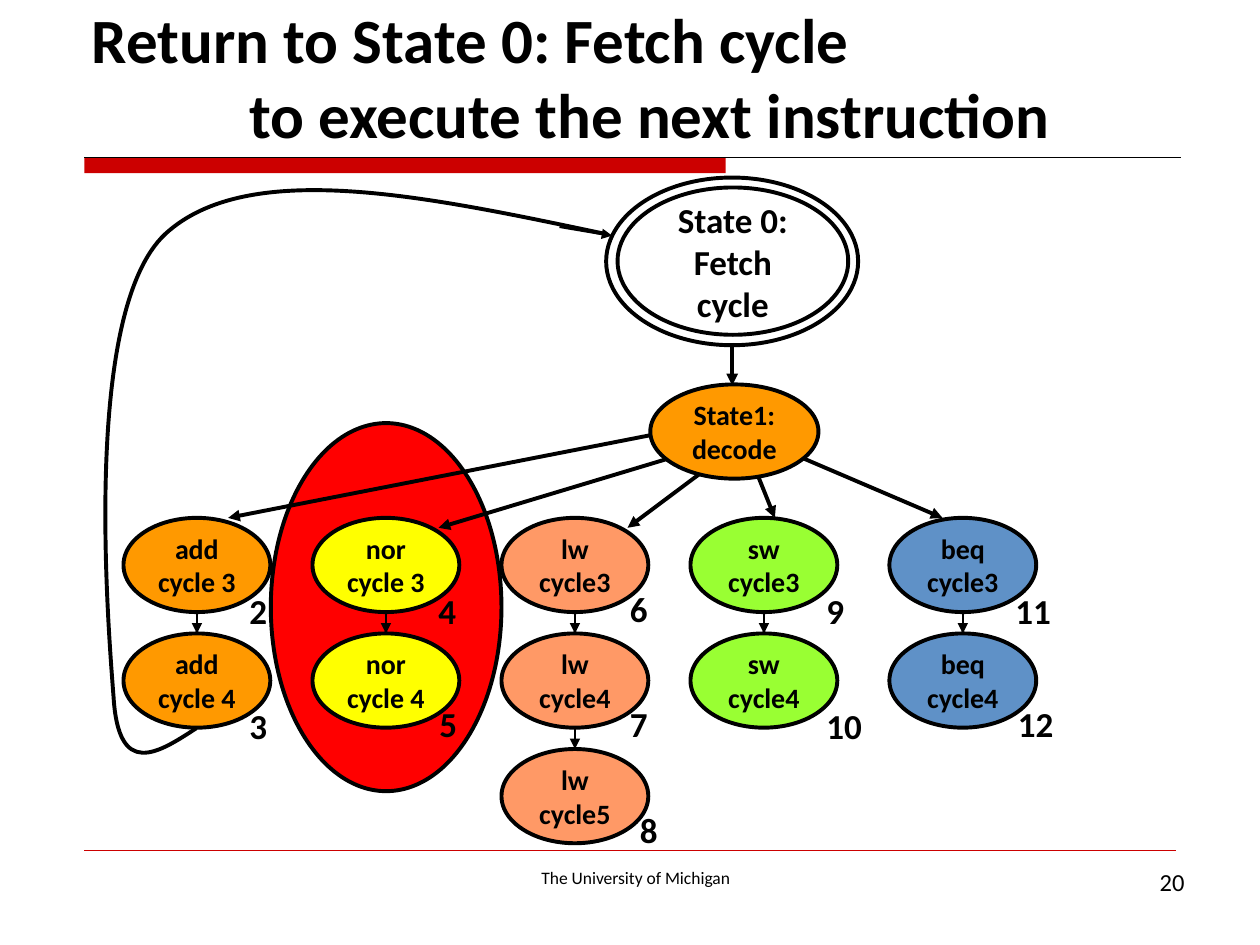
from lxml import etree
from pptx import Presentation
from pptx.dml.color import RGBColor
from pptx.enum.shapes import MSO_CONNECTOR as LINK, MSO_SHAPE as SHAPE
from pptx.enum.text import MSO_ANCHOR as ANCHOR, PP_ALIGN as ALIGN
from pptx.oxml.ns import qn
from pptx.util import Cm, Pt

BLACK, RED = "000000", "CC0000"
TITLE = ["Return to State 0: Fetch cycle", "to execute the next instruction"]
FOOTER, PAGE = "The University of Michigan", "20"

INSTRUCTIONS = [
    ("add", "FF9900", 2.49, [("cycle 3", "2", 2.29, 1.32), ("cycle 4", "3", 2.29, 1.3)]),
    ("nor", "FFFF00", 6.3, [("cycle 3", "4", 2.29, 1.32), ("cycle 4", "5", 2.31, 1.27)]),
    ("lw", "FF9966", 10.11, [("cycle3", "6", 2.34, 1.27), ("cycle4", "7", 2.34, 1.27),
                             ("cycle5", "8", 2.54, 1.07)]),
    ("sw", "99FF33", 13.92, [("cycle3", "9", 2.49, 1.32), ("cycle4", "10", 2.49, 1.3)]),
    ("beq", "5F91C7", 17.93, [("cycle3", "11", 2.29, 1.32), ("cycle4", "12", 2.34, 1.27)]),
]
DECODE_ARROWS = [
    (13.28, 8.74, 4.6, 10.44),
    (13.72, 9.17, 8.84, 10.64),
    (14.35, 9.37, 12.65, 10.64),
    (15.19, 9.37, 15.62, 10.44),
    (16.03, 9.17, 19, 10.44),
]
RETURN_PATH = [(3.96, 14.68), (3.18, 15.19), (2.39, 15.7), (2.29, 14.05), (2.16, 12.37),
               (1.68, 6.27), (3.33, 4.72), (5, 3.18), (8.61, 3.96), (12.22, 4.72)]
STATE_W, STATE_H, TOP, PITCH = 2.96, 1.9, 10.44, 2.33

deck = Presentation()
deck.slide_width, deck.slide_height = Cm(25.4), Cm(19.05)
slide = deck.slides.add_slide(deck.slide_layouts[6])
shapes = slide.shapes


def color(value):
    return RGBColor.from_string(value)


def write(frame, lines, size, bold=True, align=ALIGN.CENTER, anchor=ANCHOR.MIDDLE, wrap=True):
    frame.word_wrap = wrap
    frame.vertical_anchor = anchor
    for i, line in enumerate(lines):
        paragraph = frame.add_paragraph() if i else frame.paragraphs[0]
        paragraph.alignment = align
        run = paragraph.add_run()
        run.text = line
        run.font.name, run.font.size, run.font.bold = "Calibri", Pt(size), bold
        run.font.color.rgb = color(BLACK)


def label(left, top, width, height, lines, size, **style):
    frame = shapes.add_textbox(Cm(left), Cm(top), Cm(width), Cm(height)).text_frame
    write(frame, lines, size, **style)
    return frame


def finish(shape, fill=None, line=BLACK):
    shape.shadow.inherit = False
    if fill:
        shape.fill.solid()
        shape.fill.fore_color.rgb = color(fill)
    else:
        shape.fill.background()
    if line:
        shape.line.color.rgb = color(line)
        shape.line.width = Pt(2.25)
    else:
        shape.line.fill.background()


def state(left, top, width, height, fill=None, lines=(), size=16, wrap=False):
    oval = shapes.add_shape(SHAPE.OVAL, Cm(left), Cm(top), Cm(width), Cm(height))
    finish(oval, fill)
    if lines:
        write(oval.text_frame, lines, size, wrap=wrap)


def link(x1, y1, x2, y2, width=2.25, line=BLACK, arrow=True):
    connector = shapes.add_connector(LINK.STRAIGHT, Cm(x1), Cm(y1), Cm(x2), Cm(y2))
    connector.line.color.rgb = color(line)
    connector.line.width = Pt(width)
    if arrow:
        etree.SubElement(connector.line._get_or_add_ln(), qn("a:tailEnd"), type="triangle")
    etree.SubElement(connector._element.spPr, qn("a:effectLst"))


def curve(points):
    (x, y), *rest = points
    builder = shapes.build_freeform(Cm(x), Cm(y))
    builder.add_line_segments([(Cm(a), Cm(b)) for a, b in rest], close=False)
    outline = builder.convert_to_shape()
    finish(outline)
    segments = list(outline._element.iter(qn("a:lnTo")))
    for i in range(0, len(segments), 3):
        bend = etree.Element(qn("a:cubicBezTo"))
        segments[i].addprevious(bend)
        for segment in segments[i:i + 3]:
            bend.append(segment[0])
            segment.getparent().remove(segment)


header_bar = shapes.add_shape(SHAPE.RECTANGLE, Cm(1.7), Cm(3.18), Cm(12.93), Cm(0.31))
finish(header_bar, RED, None)
link(1.7, 3.18, 23.8, 3.18, 0.75, arrow=False)
link(1.7, 17.15, 23.7, 17.15, 0.25, RED, arrow=False)
label(8.05, 17.35, 9.53, 0.69, [FOOTER], 10, bold=False, anchor=ANCHOR.TOP)
label(18.21, 17.35, 5.92, 1.32, [PAGE], 14, bold=False, align=ALIGN.RIGHT, anchor=ANCHOR.TOP)
title = label(1.6, 0.84, 22.23, 2.34, TITLE, 36, align=ALIGN.LEFT, anchor=ANCHOR.BOTTOM)
title.paragraphs[1]._p.get_or_add_pPr().set("marL", str(Cm(3.18)))

state(5.46, 8.53, 4.65, 7.42, "FF0000")
state(12.45, 3.78, 4.65, 2.97, None, ["State 0:", "Fetch cycle"], 20, wrap=True)
state(12.22, 3.58, 5.08, 3.38)
link(14.76, 6.91, 14.76, 7.77)
curve(RETURN_PATH)
link(11.28, 4.57, 12.34, 4.75, 1.5)

for arrow in DECODE_ARROWS:
    link(*arrow)
state(13.11, 7.75, 3.39, STATE_H, "FF9900", ["State1:", "decode"])

for name, fill, left, cycles in INSTRUCTIONS:
    center = left + STATE_W / 2
    for row, (cycle, number, dx, dy) in enumerate(cycles):
        top = TOP + row * PITCH
        state(left, top, STATE_W, STATE_H, fill, [name, cycle])
        if row:
            link(center, top - PITCH + STATE_H, center, top, 1)
    for row, (cycle, number, dx, dy) in enumerate(cycles):
        label(left + dx, TOP + row * PITCH + dy, 0.51 + 0.37 * len(number), 1.11, [number], 20,
              align=ALIGN.LEFT, anchor=ANCHOR.TOP, wrap=False)

deck.save("out.pptx")
